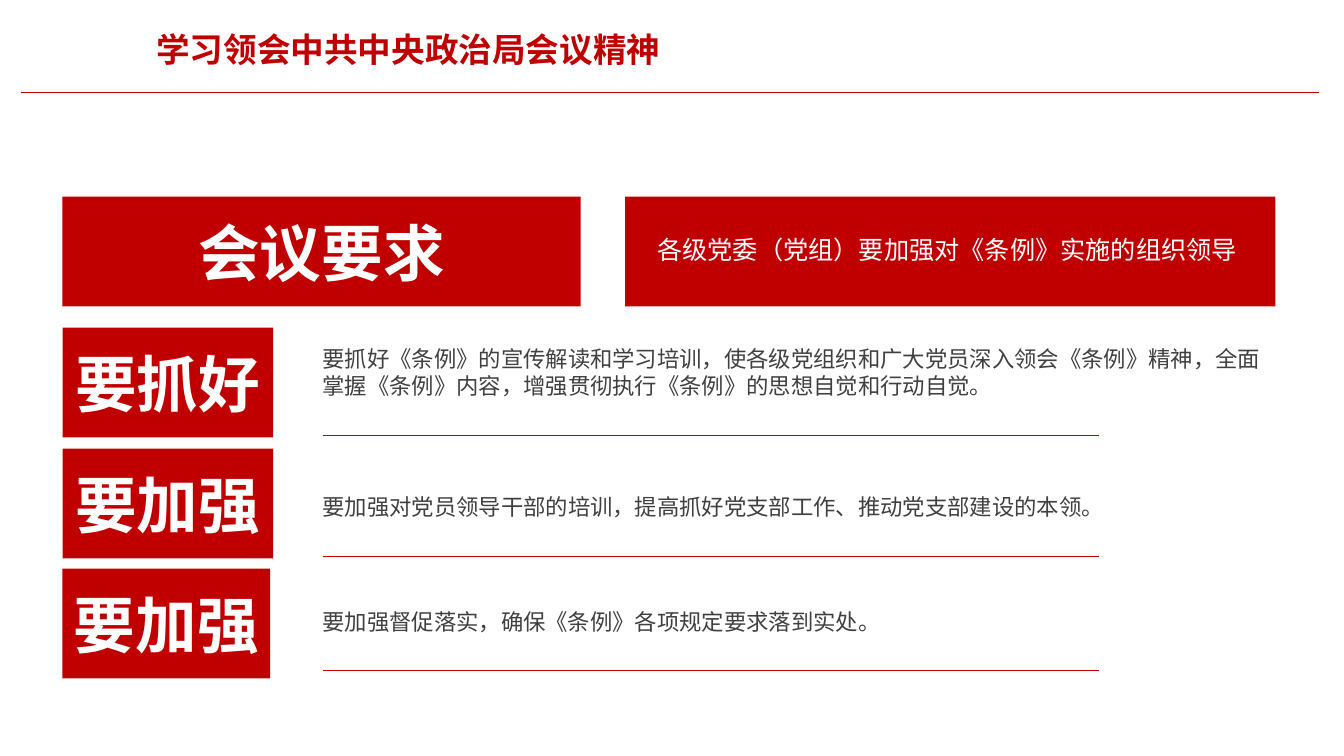
"""Build the slide on the meeting's requirements."""
import pptx
import pptx.util
import pptx.dml.color
import pptx.enum.shapes
import pptx.enum.text
import lxml.etree

Inches = pptx.util.Inches
Pt = pptx.util.Pt
RGB = pptx.dml.color.RGBColor
ALIGN = pptx.enum.text.PP_ALIGN
ANCHOR = pptx.enum.text.MSO_ANCHOR

THEME = {
    "red": RGB(0xC0, 0, 0),
    "rule": Pt(0.5),
    "title": {"name": "Arial", "size": Pt(24), "bold": True, "color": RGB(0xC0, 0, 0)},
    "label": {"name": "Arial", "size": Pt(44), "bold": True, "color": RGB(255, 255, 255)},
    "lead": {"name": "Arial", "size": Pt(18), "bold": False, "color": RGB(255, 255, 255)},
    "body": {"name": "Arial", "size": Pt(16), "bold": False, "color": RGB(0x40, 0x40, 0x40)},
}
FRAMES = {
    "title": {"word_wrap": False, "vertical_anchor": ANCHOR.TOP},
    "label": {
        "word_wrap": False, "vertical_anchor": ANCHOR.MIDDLE,
        "margin_left": Inches(0.05), "margin_right": Inches(0.05),
        "margin_top": Inches(0.03), "margin_bottom": Inches(0.03),
    },
    "lead": {"word_wrap": True},
    "body": {"word_wrap": True},
}
ALIGNS = {"title": ALIGN.RIGHT, "label": ALIGN.CENTER, "lead": ALIGN.LEFT, "body": ALIGN.LEFT}


def write(shape, text, style):
    """Put styled text into a shape."""
    frame = shape.text_frame
    for key, value in FRAMES[style].items():
        setattr(frame, key, value)
    para = frame.paragraphs[0]
    para.alignment = ALIGNS[style]
    run = para.add_run()
    run.text = text
    for key, value in THEME[style].items():
        if key == "color":
            run.font.color.rgb = value
        else:
            setattr(run.font, key, value)


def rule(left, right, top):
    """Draw a thin level line."""
    line = slide.shapes.add_connector(
        pptx.enum.shapes.MSO_CONNECTOR.STRAIGHT,
        Inches(left), Inches(top), Inches(right), Inches(top))
    line.line.color.rgb = THEME["red"]
    line.line.width = THEME["rule"]
    lxml.etree.SubElement(line._element.spPr, pptx.oxml.ns.qn("a:effectLst"))


deck = pptx.Presentation()
deck.slide_width = Inches(13.33)
deck.slide_height = Inches(7.5)
slide = deck.slides.add_slide(deck.slide_layouts[5])

title = slide.shapes.title
place = {"left": 1.4, "top": 0.24, "width": 5.25, "height": 0.5}
for key, value in place.items():
    setattr(title, key, Inches(value))
write(title, "学习领会中共中央政治局会议精神", "title")
rule(0.21, 13.08, 0.92)

blocks = [
    (0.62, 1.95, 5.14, "会议要求"),
    (6.2, 1.95, 6.45, ""),
    (0.62, 3.25, 2.09, "要抓好"),
    (0.62, 4.45, 2.09, "要加强"),
    (0.62, 5.64, 2.06, "要加强"),
]
for left, top, width, text in blocks:
    block = slide.shapes.add_shape(
        pptx.enum.shapes.MSO_SHAPE.RECTANGLE,
        Inches(left), Inches(top), Inches(width), Inches(1.09))
    block.shadow.inherit = False
    block.fill.solid()
    block.fill.fore_color.rgb = THEME["red"]
    block.line.fill.background()
    if text:
        write(block, text, "label")

notes = [
    (6.42, 2.28, 6.67, 0.4, "lead", "各级党委（党组）要加强对《条例》实施的组织领导"),
    (3.1, 3.38, 9.62, 0.64, "body",
     "要抓好《条例》的宣传解读和学习培训，使各级党组织和广大党员深入领会《条例》精神，"
     "全面掌握《条例》内容，增强贯彻执行《条例》的思想自觉和行动自觉。"),
    (3.1, 4.84, 9.22, 0.37, "body",
     "要加强对党员领导干部的培训，提高抓好党支部工作、推动党支部建设的本领。"),
    (3.1, 5.98, 6.67, 0.37, "body", "要加强督促落实，确保《条例》各项规定要求落到实处。"),
]
for left, top, width, height, style, text in notes:
    box = slide.shapes.add_textbox(Inches(left), Inches(top), Inches(width), Inches(height))
    write(box, text, style)

for top in (4.32, 5.52, 6.65):
    rule(3.2, 10.9, top)

deck.save("out.pptx")
